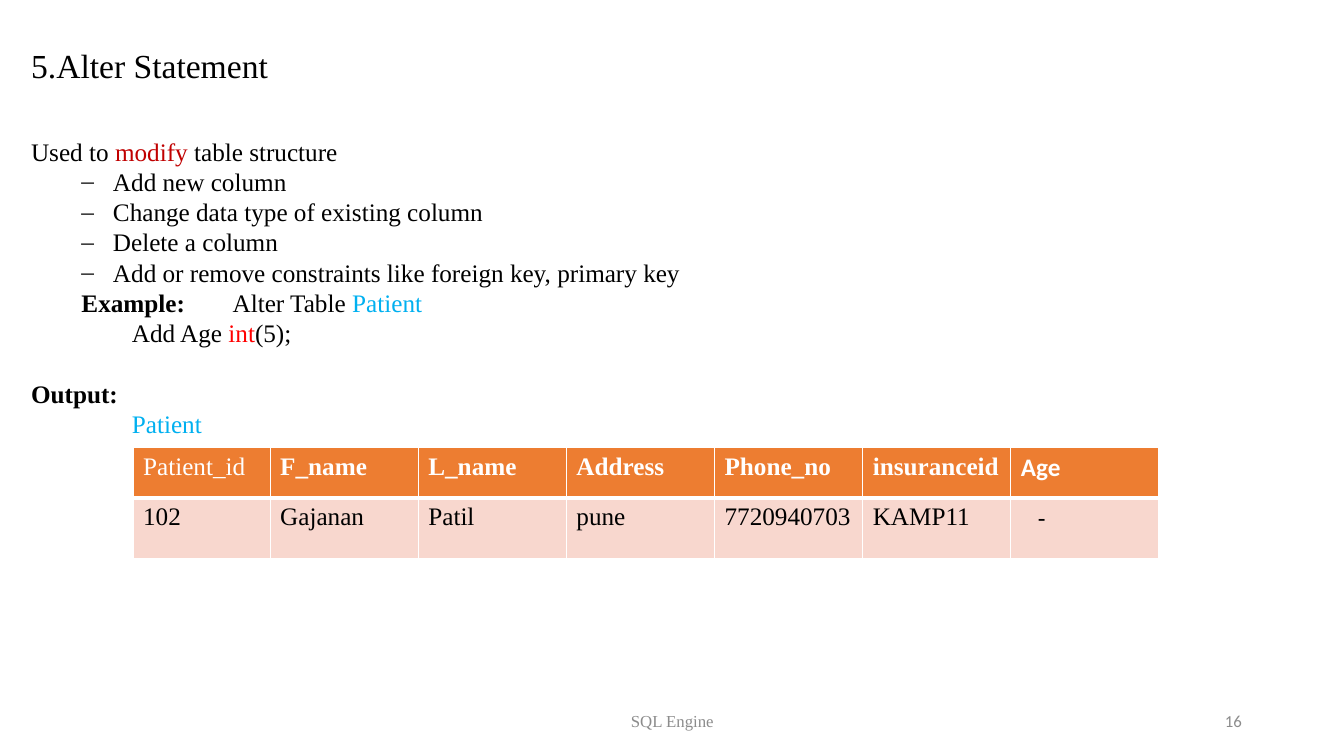
import pptx
import pptx.util
import pptx.dml.color
import pptx.enum.text
import pptx.oxml
import pptx.oxml.ns

Pt = pptx.util.Pt
RGB = pptx.dml.color.RGBColor
ALIGN = pptx.enum.text.PP_ALIGN
ANCHOR = pptx.enum.text.MSO_ANCHOR
BLACK = RGB(0x00, 0x00, 0x00)
WHITE = RGB(0xFF, 0xFF, 0xFF)
GREY = RGB(0x8C, 0x8C, 0x8C)
CRIMSON = RGB(0xC0, 0x00, 0x00)
RED = RGB(0xFF, 0x00, 0x00)
BLUE = RGB(0x00, 0xB0, 0xF0)
ORANGE = RGB(0xED, 0x7D, 0x31)
PINK = RGB(0xF8, 0xD7, 0xCE)
SERIF = "Times New Roman"
SANS = "Calibri"

LINES = [
    dict(runs=[("5.Alter Statement", BLACK, False)], size=24),
    dict(runs=[("Used to ", BLACK, False), ("modify", CRIMSON, False),
               (" table structure", BLACK, False)], gap=36),
    dict(runs=[("Add new column", BLACK, False)], bullet=True),
    dict(runs=[("Change data type of existing column", BLACK, False)], bullet=True),
    dict(runs=[("Delete a column", BLACK, False)], bullet=True),
    dict(runs=[("Add or remove constraints like foreign key, primary key", BLACK, False)],
         bullet=True),
    dict(runs=[("Example:", BLACK, True), ("\tAlter Table ", BLACK, False),
               ("Patient", BLUE, False)], left=36, tab=144),
    dict(runs=[("\tAdd Age ", BLACK, False), ("int", RED, False),
               ("(5);", BLACK, False)], left=36, tab=144),
    dict(runs=[("Output:", BLACK, True)], gap=21.6),
    dict(runs=[("Patient", BLUE, False)], left=72),
]
HEAD = ["Patient_id", "F_name", "L_name", "Address", "Phone_no", "insuranceid", "Age"]
ROW = ["102", "Gajanan", "Patil", "pune", "7720940703", "KAMP11", "-"]
FOOTS = [
    ("SQL Engine", 318.24, 324, ALIGN.CENTER, SERIF),
    ("16", 678.24, 216, ALIGN.RIGHT, SANS),
]
WIDTHS = [97.92] + [105.84] * 6
HEIGHTS = [36, 43.2]


def style(run, size, color, face=SERIF, bold=False):
    run.font.size = Pt(size)
    run.font.name = face
    run.font.bold = bold
    run.font.color.rgb = color


def add_xml(parent, body):
    tag, rest = body.split(" ", 1)
    space = pptx.oxml.ns.nsdecls("a")
    parent.append(pptx.oxml.parse_xml(f"<a:{tag} {space} {rest}"))


def add_box(slide, left, top, width, height):
    box = slide.shapes.add_textbox(Pt(left), Pt(top), Pt(width), Pt(height))
    box.text_frame.word_wrap = True
    return box.text_frame


def add_line(para, runs, size=18, gap=0, left=0, tab=0, bullet=False):
    para.space_before = Pt(gap)
    props = para._p.get_or_add_pPr()
    if bullet:
        props.set("marL", str(Pt(58.5)))
        props.set("indent", str(-Pt(22.5)))
        add_xml(props, 'buFont typeface="Times New Roman"/>')
        add_xml(props, 'buChar char="–"/>')
    else:
        props.set("marL", str(Pt(left)))
        props.set("indent", "0")
    if tab:
        add_xml(props, f'tabLst ><a:tab pos="{Pt(tab)}" algn="l"/></a:tabLst>')
    for text, color, bold in runs:
        run = para.add_run()
        run.text = text
        style(run, size, color, bold=bold)


def add_edges(cell, top, low):
    props = cell._tc.get_or_add_tcPr()
    for at, (side, wide) in enumerate([("L", 1), ("R", 1), ("T", top), ("B", low)]):
        add_xml(props, f'ln{side} w="{Pt(wide)}"><a:solidFill><a:srgbClr val="{WHITE}"/>'
                       f'</a:solidFill></a:ln{side}>')
        props.insert(at, props[-1])


def add_grid(slide):
    shape = slide.shapes.add_table(2, len(HEAD), Pt(95.04), Pt(319.68),
                                   Pt(sum(WIDTHS)), Pt(sum(HEIGHTS)))
    grid = shape.table
    for col, width in zip(grid.columns, WIDTHS):
        col.width = Pt(width)
    for r, texts in enumerate([HEAD, ROW]):
        grid.rows[r].height = Pt(HEIGHTS[r])
        for c, text in enumerate(texts):
            cell = grid.cell(r, c)
            cell.text_frame.text = text
            cell.fill.solid()
            cell.fill.fore_color.rgb = PINK if r else ORANGE
            style(cell.text_frame.paragraphs[0].runs[0], 18, BLACK if r else WHITE,
                  SANS if c == len(HEAD) - 1 else SERIF, r == 0 and c > 0)
            if text == "-":
                cell.margin_left = Pt(19.4)
            add_edges(cell, 3 if r else 1, 1 if r else 3)


def main():
    deck = pptx.Presentation()
    deck.slide_width, deck.slide_height = Pt(960), Pt(540)
    slide = deck.slides.add_slide(deck.slide_layouts[6])
    for text, left, width, align, face in FOOTS:
        frame = add_box(slide, left, 500.4, width, 28.8)
        frame.vertical_anchor = ANCHOR.MIDDLE
        frame.text = text
        frame.paragraphs[0].alignment = align
        style(frame.paragraphs[0].runs[0], 12, GREY, face)
    frame = add_box(slide, 15.12, 28.8, 920.88, 342.72)
    for i, line in enumerate(LINES):
        para = frame.add_paragraph() if i else frame.paragraphs[0]
        add_line(para, **line)
    add_grid(slide)
    deck.save("out.pptx")


if __name__ == "__main__":
    main()
